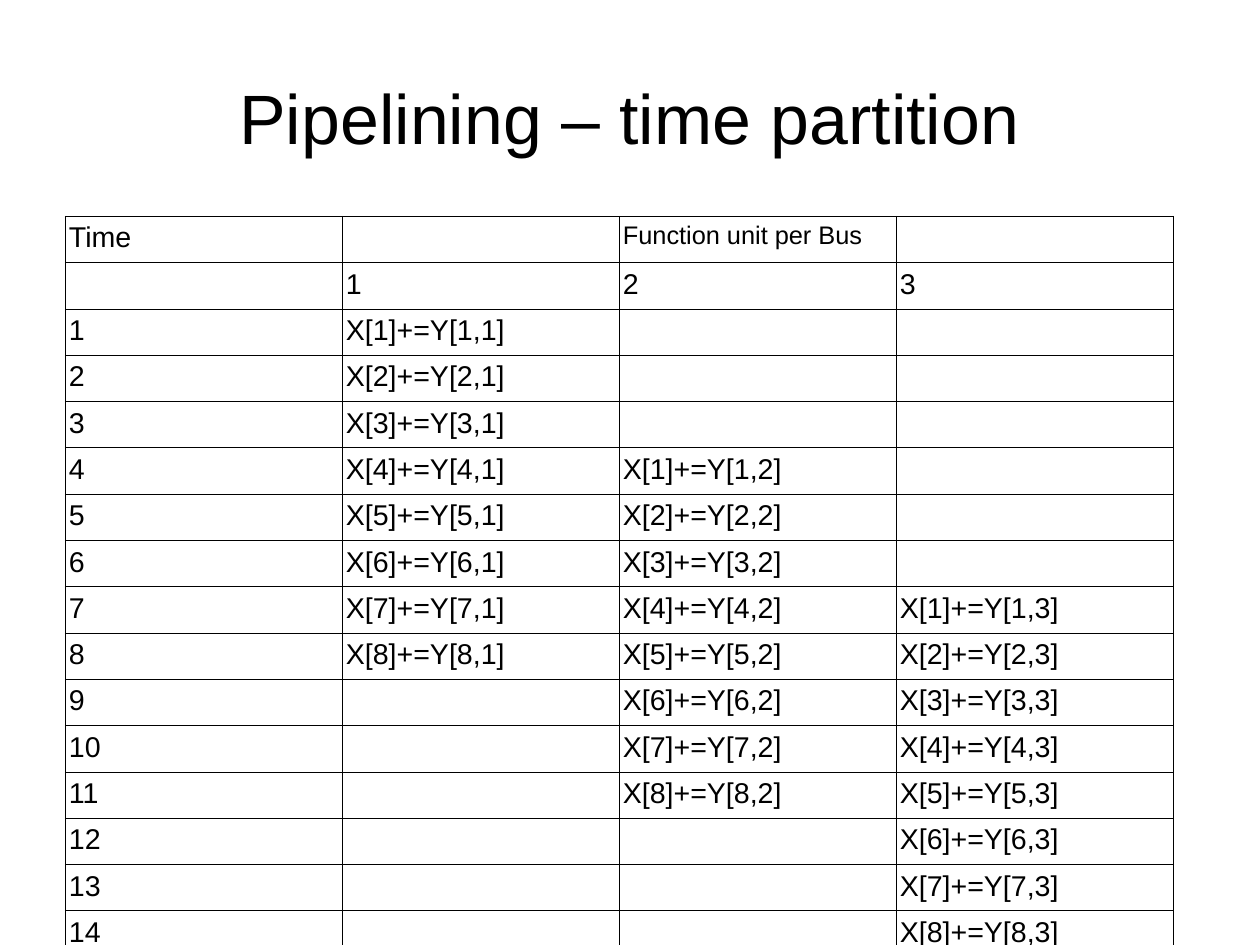
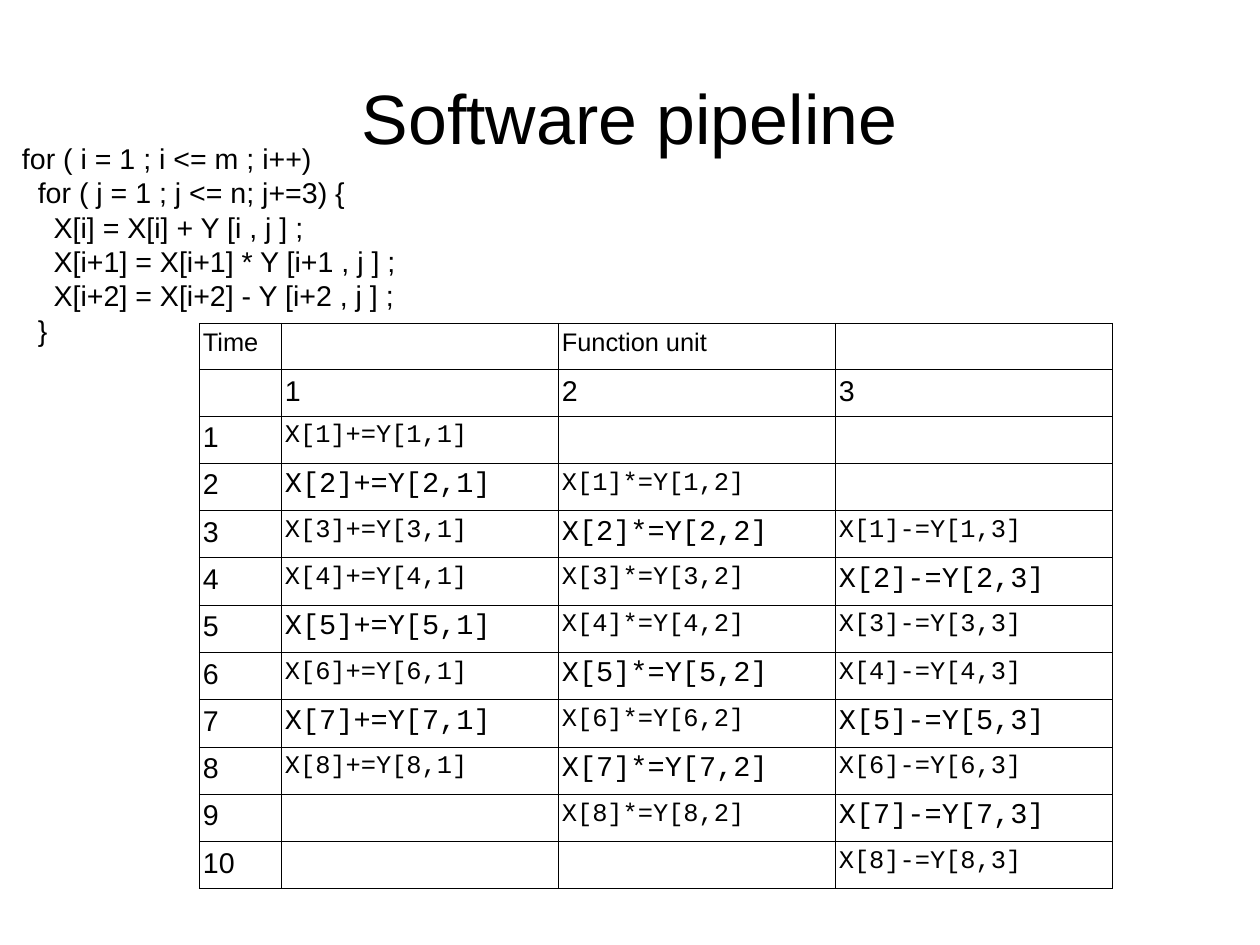
from lxml.etree import SubElement
from pptx import Presentation
from pptx.dml.color import RGBColor
from pptx.enum.text import MSO_ANCHOR, PP_ALIGN
from pptx.oxml.ns import qn
from pptx.util import Pt

# Content: in each schedule, unit u starts `lag` steps after unit u - 1
ELEMENTS = 8
CODE = [
    "for ( i = 1 ; i <= m ; i++)",
    "  for ( j = 1 ; j <= n; j+=3) {",
    "    X[i] = X[i] + Y [i , j ] ;",
    "    X[i+1] = X[i+1] * Y [i+1 , j ] ;",
    "    X[i+2] = X[i+2] - Y [i+2 , j ] ;",
    "  }",
]
SLIDES = [
    {
        "title": "Pipelining – time partition",
        "code": [],
        "heading": "Function unit per Bus",
        "time_size": 18,
        "operators": ["+=", "+=", "+="],
        "lag": 3,
        "font": "Arial",
        "large_elements": range(1, ELEMENTS + 1),
        "corner": (65, 216),
        "columns": [277, 277, 277, 277],
        "head_height": 92,
        "body_height": 640,
    },
    {
        "title": "Software pipeline",
        "code": CODE,
        "heading": "Function unit",
        "time_size": 16,
        "operators": ["+=", "*=", "-="],
        "lag": 1,
        "font": "Courier New",
        "large_elements": (2, 5, 7),
        "corner": (199, 323),
        "columns": [82, 277, 277, 277],
        "head_height": 92,
        "body_height": 473,
    },
]

# Shared look
PX = 8000
SLIDE_SIZE = (1260, 945)
TITLE_BOX = (63, 38, 1134, 158)
CODE_BOX = (11, 135, 411, 203)
CODE_INSETS = (11, 6, 11, 6)
CELL_INSETS = (4, 6, 4, 6)
HEAD_ROWS = 2
LARGE, SMALL = 18, 16
BLACK = RGBColor(0, 0, 0)
BORDER_WIDTH = Pt(0.06)


def px(length):
    return round(length * PX)


def set_insets(target, insets):
    (target.margin_left, target.margin_top,
     target.margin_right, target.margin_bottom) = map(px, insets)


def style_text(frame, size, font="Arial", align=PP_ALIGN.LEFT):
    for para in frame.paragraphs:
        para.alignment = align
        for span in para.runs:
            span.font.size = Pt(size)
            span.font.name = font
            span.font.color.rgb = BLACK


def add_text(page, place, lines, size, insets=(0, 0, 0, 0),
             anchor=MSO_ANCHOR.TOP, align=PP_ALIGN.LEFT):
    frame = page.shapes.add_textbox(*map(px, place)).text_frame
    frame.word_wrap = True
    frame.vertical_anchor = anchor
    set_insets(frame, insets)
    frame.text = "\n".join(lines)
    style_text(frame, size, align=align)


def add_borders(cell):
    properties = cell._tc.get_or_add_tcPr()
    for side in ("a:lnL", "a:lnR", "a:lnT", "a:lnB"):
        line = SubElement(properties, qn(side), w=str(BORDER_WIDTH))
        fill = SubElement(line, qn("a:solidFill"))
        SubElement(fill, qn("a:srgbClr"), val=str(BLACK))


def schedule_rows(content):
    """Rows of (text, size, font) cells: two headings, then one per time step."""
    operators, lag = content["operators"], content["lag"]
    units = range(1, len(operators) + 1)
    blank = ("", LARGE, "Arial")
    rows = [
        [("Time", content["time_size"], "Arial"), blank,
         (content["heading"], SMALL, "Arial"), blank],
        [blank] + [(str(unit), LARGE, "Arial") for unit in units],
    ]
    for time in range(1, ELEMENTS + lag * (len(operators) - 1) + 1):
        row = [(str(time), LARGE, "Arial")]
        for unit, operator in zip(units, operators):
            element = time - lag * (unit - 1)
            if 1 <= element <= ELEMENTS:
                size = LARGE if element in content["large_elements"] else SMALL
                text = f"X[{element}]{operator}Y[{element},{unit}]"
                row.append((text, size, content["font"]))
            else:
                row.append(blank)
        rows.append(row)
    return rows


def add_schedule(page, content):
    rows, columns = schedule_rows(content), content["columns"]
    head, body = content["head_height"], content["body_height"]
    place = (*content["corner"], sum(columns), head + body)
    table = page.shapes.add_table(len(rows), len(columns), *map(px, place)).table
    table.first_row = table.horz_banding = False
    for column, width in zip(table.columns, columns):
        column.width = px(width)
    for index, row in enumerate(rows):
        is_head = index < HEAD_ROWS
        table.rows[index].height = px(
            head / HEAD_ROWS if is_head else body / (len(rows) - HEAD_ROWS))
        for position, (text, size, font) in enumerate(row):
            cell = table.cell(index, position)
            set_insets(cell, CELL_INSETS)
            add_borders(cell)
            cell.fill.background()
            cell.text_frame.text = text
            style_text(cell.text_frame, size, font)


def main():
    deck = Presentation()
    deck.slide_width, deck.slide_height = map(px, SLIDE_SIZE)
    for content in SLIDES:
        page = deck.slides.add_slide(deck.slide_layouts[6])
        add_text(page, TITLE_BOX, [content["title"]], 44,
                 anchor=MSO_ANCHOR.MIDDLE, align=PP_ALIGN.CENTER)
        if content["code"]:
            add_text(page, CODE_BOX, content["code"], LARGE, CODE_INSETS)
        add_schedule(page, content)
    deck.save("out.pptx")


if __name__ == "__main__":
    main()
